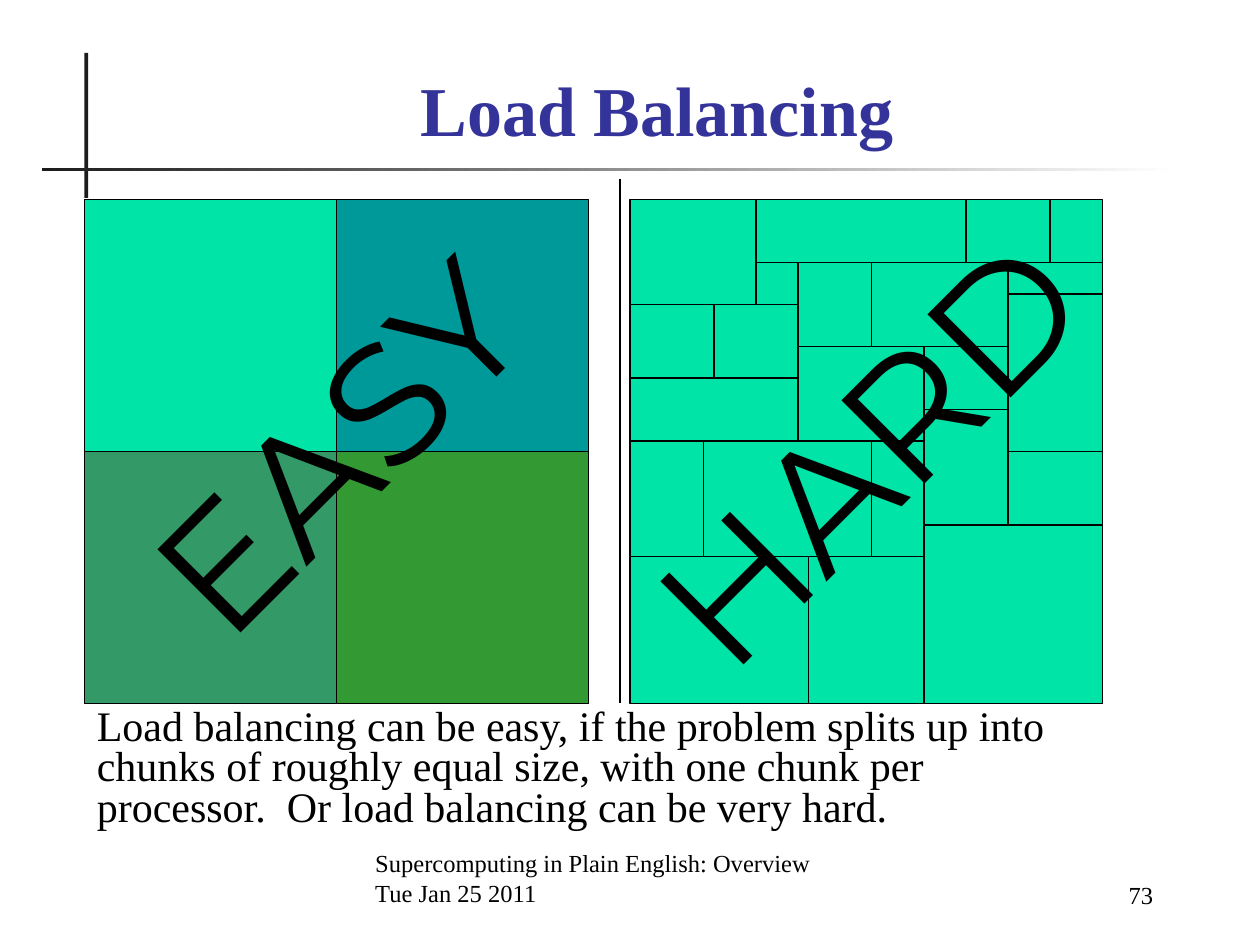
from lxml import etree
from pptx import Presentation
from pptx.dml.color import RGBColor
from pptx.enum.shapes import MSO_CONNECTOR, MSO_SHAPE
from pptx.enum.text import MSO_ANCHOR, PP_ALIGN
from pptx.oxml.ns import qn
from pptx.util import Inches, Pt

INK = "000000"
DARK = "1C1C1C"
MINT = "00E4A8"
TITLE_BLUE = "333399"
SERIF = "Times New Roman"
SANS = "Montserrat"
UNIT = 1 / 12
TOP = 19 * UNIT
EASY_LEFT, EASY_SIDE = 0.67, 2
HARD_LEFT = 5
EASY_COLORS = [[MINT, "009999"], ["339966", "339933"]]
HARD_CHUNKS = [
    (0, 0, 12, 10), (12, 0, 20, 6), (32, 0, 8, 6), (40, 0, 5, 6),
    (12, 6, 4, 4), (16, 6, 7, 8), (23, 6, 13, 8), (36, 6, 9, 3),
    (0, 10, 8, 7), (8, 10, 8, 7), (36, 9, 9, 15),
    (16, 14, 12, 9), (28, 14, 8, 6), (0, 17, 16, 6), (28, 20, 8, 11),
    (0, 23, 7, 11), (7, 23, 16, 11), (23, 23, 5, 11), (36, 24, 9, 7),
    (0, 34, 17, 14), (17, 34, 11, 14), (28, 31, 17, 17),
]


def color(value):
    return RGBColor.from_string(value)


class SlideBuilder:
    """Hold the slide and the shared style of its elements."""

    def __init__(self, slide):
        self.slide = slide
        self.line_width = Pt(0.75)

    def rectangle(self, left, top, width, height, fill, outline=None):
        shape = self.slide.shapes.add_shape(
            MSO_SHAPE.RECTANGLE, Inches(left), Inches(top), Inches(width), Inches(height))
        shape.shadow.inherit = False
        shape.fill.solid()
        shape.fill.fore_color.rgb = color(fill)
        if outline:
            shape.line.color.rgb = color(outline)
            shape.line.width = self.line_width
        else:
            shape.line.fill.background()
        return shape

    def gradient_bar(self, left, top, width, height, colors):
        shape = self.rectangle(left, top, width, height, colors[0])
        shape.fill.gradient()
        shape.fill.gradient_angle = 0
        for stop, value, position in zip(shape.fill.gradient_stops, colors, (0, 1)):
            stop.color.rgb = color(value)
            stop.position = position

    def line(self, start_x, start_y, end_x, end_y):
        connector = self.slide.shapes.add_connector(
            MSO_CONNECTOR.STRAIGHT, Inches(start_x), Inches(start_y),
            Inches(end_x), Inches(end_y))
        connector.line.color.rgb = color(INK)
        connector.line.width = self.line_width
        etree.SubElement(connector._element.spPr, qn("a:effectLst"))

    def text(self, left, top, width, height, lines, size, font=SERIF, fill=INK, bold=False,
             align=PP_ALIGN.LEFT, anchor=MSO_ANCHOR.TOP, spacing=None, rotation=0):
        shape = self.slide.shapes.add_textbox(
            Inches(left), Inches(top), Inches(width), Inches(height))
        shape.rotation = rotation
        frame = shape.text_frame
        frame.word_wrap = True
        frame.vertical_anchor = anchor
        for index, content in enumerate(lines):
            paragraph = frame.add_paragraph() if index else frame.paragraphs[0]
            paragraph.alignment = align
            paragraph.line_spacing = spacing
            run = paragraph.add_run()
            run.text = content
            run.font.name = font
            run.font.size = Pt(size)
            run.font.bold = bold
            run.font.color.rgb = color(fill)


def main():
    presentation = Presentation()
    presentation.slide_width = Inches(10)
    presentation.slide_height = Inches(7.5)
    builder = SlideBuilder(presentation.slides.add_slide(presentation.slide_layouts[6]))

    builder.rectangle(0.67, 0.42, 0.03, 1.15, DARK)
    builder.gradient_bar(0.33, 1.33, 9, 0.03, (DARK, "FFFFFF"))
    builder.text(2.88, 6.75, 4.37, 0.5,
                 ["Supercomputing in Plain English: Overview", "Tue Jan 25 2011"],
                 14, anchor=MSO_ANCHOR.BOTTOM)
    builder.text(7.83, 6.77, 1.42, 0.5, ["73"], 14,
                 align=PP_ALIGN.RIGHT, anchor=MSO_ANCHOR.BOTTOM)
    builder.text(0.83, 0.5, 8.77, 0.74, ["Load Balancing"], 40, fill=TITLE_BLUE, bold=True,
                 align=PP_ALIGN.CENTER, anchor=MSO_ANCHOR.BOTTOM)

    for row, fills in enumerate(EASY_COLORS):
        for column, fill in enumerate(fills):
            builder.rectangle(EASY_LEFT + column * EASY_SIDE, TOP + row * EASY_SIDE,
                              EASY_SIDE, EASY_SIDE, fill, INK)
    builder.line(4.92, 1.42, 4.92, 5.58)
    for column, row, width, height in HARD_CHUNKS:
        builder.rectangle(HARD_LEFT + column * UNIT, TOP + row * UNIT,
                          width * UNIT, height * UNIT, MINT, INK)

    builder.text(0.67, 5.58, 8.17, 1.06,
                 ["Load balancing can be easy, if the problem splits up into chunks of roughly "
                  "equal size, with one chunk per processor.  Or load balancing can be very hard."],
                 24, spacing=0.8)
    for word, left, top, width in (("EASY", 0.5, 2.67, 4.33), ("HARD", 4.65, 2.71, 4.44)):
        builder.text(left, top, width, 1.7, [word], 96, font=SANS,
                     align=PP_ALIGN.CENTER, rotation=315)

    presentation.save("out.pptx")


if __name__ == "__main__":
    main()
